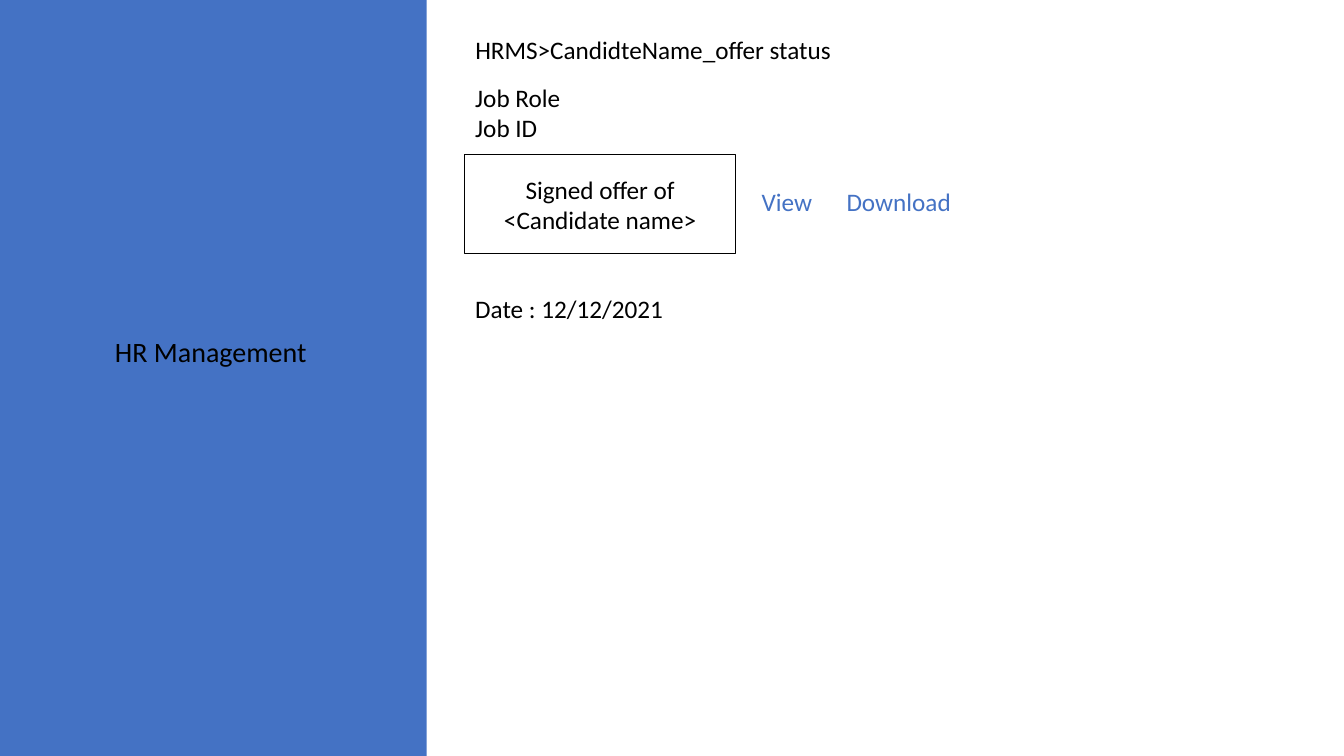
"""Build the HR Management offer status slide."""
from dataclasses import dataclass

from lxml import etree
from pptx import Presentation
from pptx import util as u
from pptx.dml.color import RGBColor
from pptx.enum import shapes, text
from pptx.oxml.ns import qn


@dataclass(frozen=True)
class Theme:
    font: str = "Calibri"
    title_size: int = 20
    body_size: int = 18
    ink: RGBColor = RGBColor(0x00, 0x00, 0x00)
    paper: RGBColor = RGBColor(0xFF, 0xFF, 0xFF)
    accent: RGBColor = RGBColor(0x44, 0x72, 0xC4)


@dataclass(frozen=True)
class Area:
    column: float
    row: float
    columns: float
    rows: float

    def bounds(self) -> tuple[int, int, int, int]:
        return tuple(int(n * CELL) for n in (self.column, self.row, self.columns, self.rows))


@dataclass(frozen=True)
class Label:
    content: str
    area: Area
    color: RGBColor


THEME = Theme()
COLUMNS, ROWS = 16, 9
CELL = u.Inches(7.5) // ROWS
CONTENT_LEFT = 5.54
DOWNLOAD_TAB = 1.01

PANEL = Area(0, 0, 5.08, ROWS)
TITLE = Area(0.41, 3.97, 4.2, 2.21)
OFFER = Area(5.53, 1.84, 3.23, 1.18)
LINKS = Label("View\tDownload", Area(8.95, 2.16, 2.74, 0.48), THEME.accent)
LABELS = (
    Label("HRMS>CandidteName_offer status", Area(CONTENT_LEFT, 0.35, 5.48, 0.48), THEME.ink),
    Label("Job Role\nJob ID", Area(CONTENT_LEFT, 0.92, 3.6, 0.85), THEME.ink),
    LINKS,
    Label("Date : 12/12/2021", Area(CONTENT_LEFT, 3.43, 3.6, 0.48), THEME.ink),
)


def format_text(frame, size: int, color: RGBColor, align=text.PP_ALIGN.LEFT) -> None:
    frame.word_wrap = True
    for para in frame.paragraphs:
        para.alignment = align
        for span in para.runs:
            span.font.name = THEME.font
            span.font.size = u.Pt(size)
            span.font.color.rgb = color


def add_rectangle(page, area: Area, fill: RGBColor):
    box = page.shapes.add_shape(shapes.MSO_SHAPE.RECTANGLE, *area.bounds())
    box.shadow.inherit = False
    box.fill.solid()
    box.fill.fore_color.rgb = fill
    box.line.fill.background()
    return box


def add_title(page) -> None:
    title = page.shapes.title
    title.left, title.top, title.width, title.height = TITLE.bounds()
    frame = title.text_frame
    frame.text = "HR Management"
    frame.vertical_anchor = text.MSO_ANCHOR.TOP
    frame.auto_size = text.MSO_AUTO_SIZE.NONE
    frame.paragraphs[0].line_spacing = 0.9
    format_text(frame, THEME.title_size, THEME.ink, text.PP_ALIGN.CENTER)


def add_offer(page) -> None:
    offer = add_rectangle(page, OFFER, THEME.paper)
    offer.line.color.rgb = THEME.ink
    offer.line.width = u.Pt(1)
    frame = offer.text_frame
    frame.text = "Signed offer of <Candidate name>"
    frame.vertical_anchor = text.MSO_ANCHOR.MIDDLE
    format_text(frame, THEME.body_size, THEME.ink, text.PP_ALIGN.CENTER)


def add_label(page, label: Label):
    box = page.shapes.add_textbox(*label.area.bounds())
    frame = box.text_frame
    frame.text = label.content
    frame.auto_size = text.MSO_AUTO_SIZE.SHAPE_TO_FIT_TEXT
    format_text(frame, THEME.body_size, label.color)
    return box


def add_tab_stop(para, columns: float) -> None:
    properties = para._p.get_or_add_pPr()
    stops = etree.SubElement(properties, qn("a:tabLst"))
    etree.SubElement(stops, qn("a:tab"), pos=str(int(columns * CELL)), algn="l")


def main() -> None:
    deck = Presentation()
    deck.slide_width, deck.slide_height = COLUMNS * CELL, ROWS * CELL
    page = deck.slides.add_slide(deck.slide_layouts.get_by_name("Title Only"))
    panel = add_rectangle(page, PANEL, THEME.accent)
    page.shapes.title.element.addprevious(panel.element)
    add_title(page)
    add_offer(page)
    for label in LABELS:
        box = add_label(page, label)
        if label is LINKS:
            add_tab_stop(box.text_frame.paragraphs[0], DOWNLOAD_TAB)
    deck.save("out.pptx")


if __name__ == "__main__":
    main()
